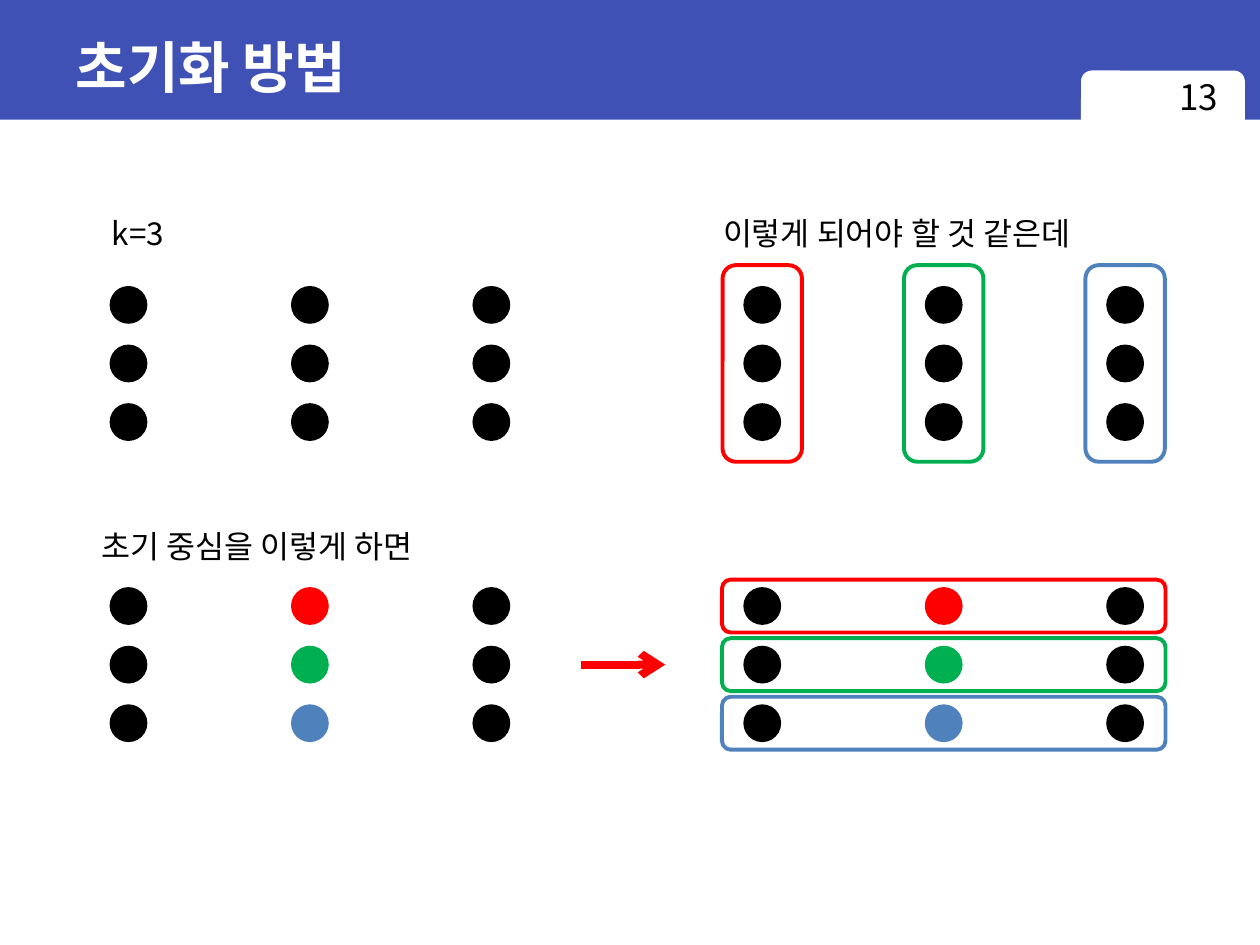
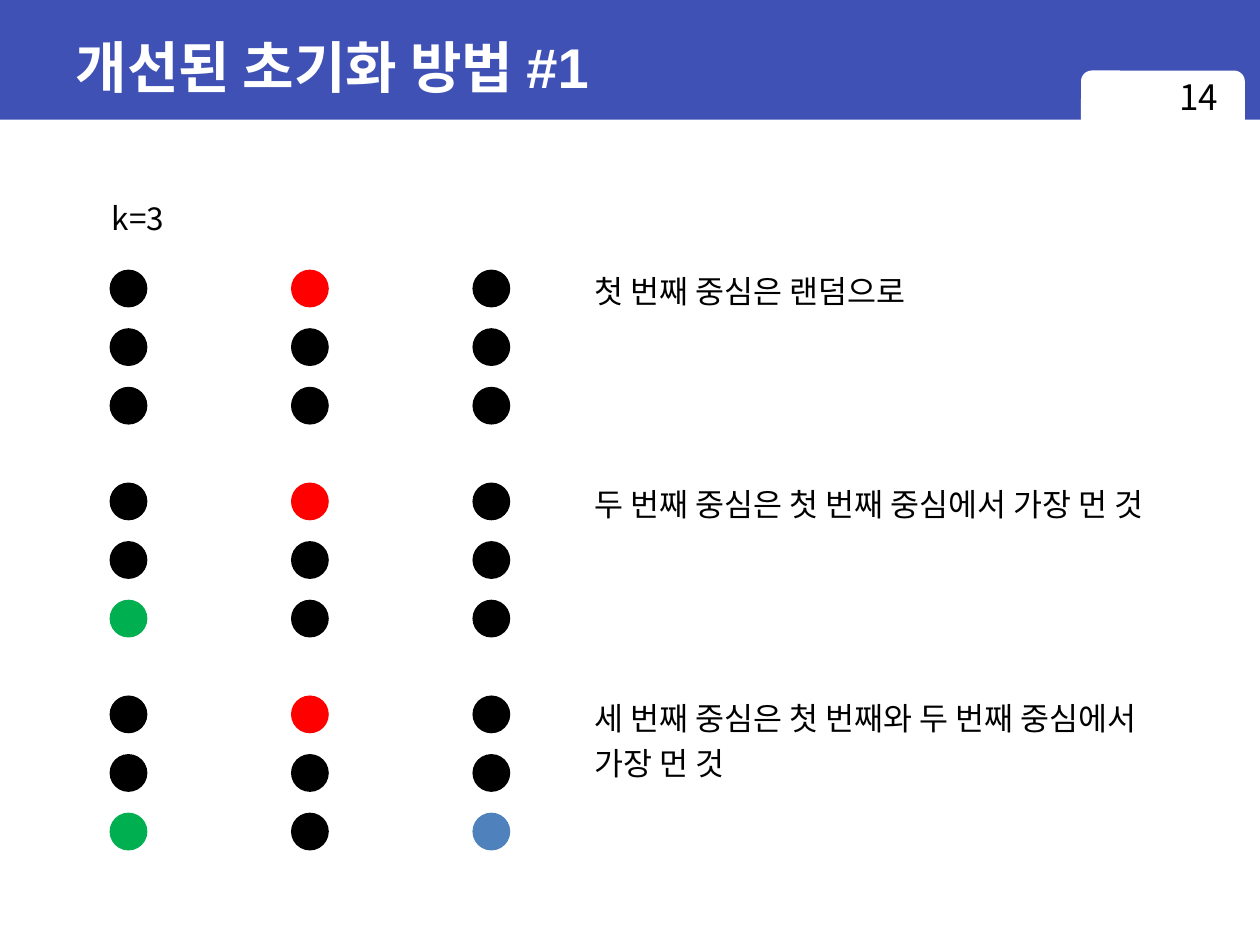
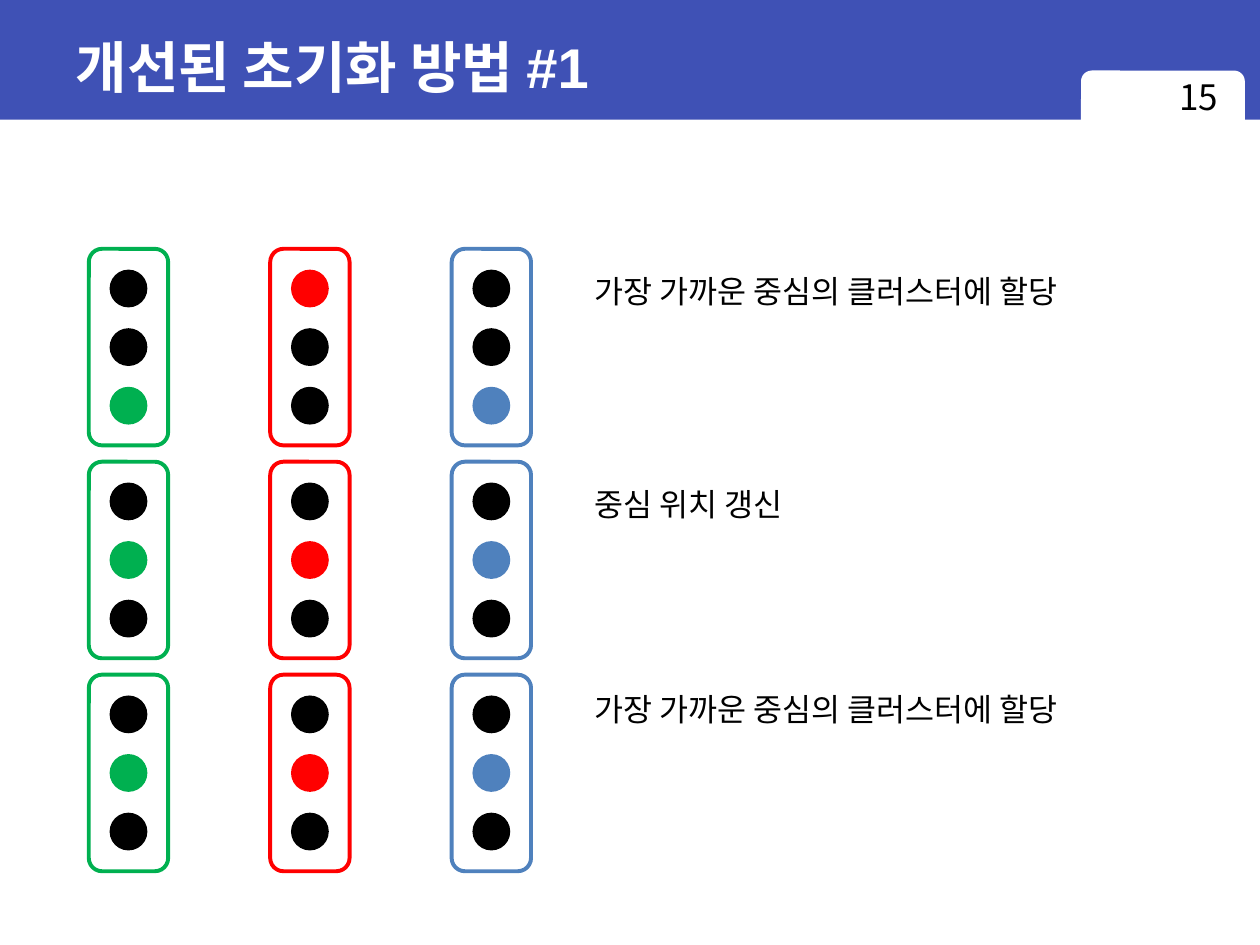
from pptx import Presentation
from pptx.dml.color import RGBColor
from pptx.enum.shapes import MSO_CONNECTOR, MSO_SHAPE
from pptx.enum.text import MSO_ANCHOR, MSO_AUTO_SIZE, PP_ALIGN
from pptx.oxml.ns import qn
from pptx.util import Inches, Pt
from lxml import etree

RECT, ROUND, OVAL = MSO_SHAPE.RECTANGLE, MSO_SHAPE.ROUNDED_RECTANGLE, MSO_SHAPE.OVAL
STRAIGHT = MSO_CONNECTOR.STRAIGHT
LEFT_ALIGN, CENTER = PP_ALIGN.LEFT, PP_ALIGN.CENTER
MIDDLE, GROW = MSO_ANCHOR.MIDDLE, MSO_AUTO_SIZE.SHAPE_TO_FIT_TEXT

INDIGO = RGBColor(0x3F, 0x51, 0xB5)
WHITE = RGBColor(0xFF, 0xFF, 0xFF)
BLACK = RGBColor(0x00, 0x00, 0x00)
RED = RGBColor(0xFF, 0x00, 0x00)
GREEN = RGBColor(0x00, 0xB0, 0x50)
BLUE = RGBColor(0x4F, 0x81, 0xBD)
DOT_COLORS = {"K": BLACK, "R": RED, "G": GREEN, "B": BLUE}

LATIN, HANGUL = "Arial", "Noto Sans CJK KR"
SLIDE_W, SLIDE_H = 10, 7.5
DOT = 0.3
GRID_W, GRID_H = 3.18, 1.23
COL_PITCH, ROW_PITCH = (GRID_W - DOT) / 2, (GRID_H - DOT) / 2
COL_FRAME, ROW_FRAME = (0.63, 1.56), (3.52, 0.42)
LEFT_GRID, RIGHT_GRID = 0.87, 5.9
STEP_TOP, STEP_PITCH = 2.14, 1.69
NOTE_LEFT = 4.62


def put_text(tf, text, size=18, font=HANGUL, color=BLACK, bold=False,
             align=LEFT_ALIGN, spacing=None):
    """Write one formatted paragraph into a text frame."""
    p = tf.paragraphs[0]
    p.text = text
    p.alignment = align
    p.line_spacing = spacing
    for r in p.runs:
        r.font.size = Pt(size)
        r.font.name = font
        r.font.bold = bold
        r.font.color.rgb = color
        r.font.language_id = None
        ea = etree.SubElement(r.font._element, qn("a:ea"))
        ea.set("typeface", HANGUL)


def add_shape(shapes, kind, x, y, w, h, fill=None, line=None):
    """Add a flat preset shape."""
    sp = shapes.add_shape(kind, Inches(x), Inches(y), Inches(w), Inches(h))
    sp.shadow.inherit = False
    if fill is None:
        sp.fill.background()
    else:
        sp.fill.solid()
        sp.fill.fore_color.rgb = fill
    if line is None:
        sp.line.fill.background()
    else:
        sp.line.color.rgb = line
        sp.line.width = Pt(2.25)
    return sp


def add_label(s, text, x, y, w):
    """Add an unwrapped caption that grows with its lines."""
    h = 0.46 + 0.37 * text.count("\n")
    tf = s.shapes.add_textbox(Inches(x), Inches(y), Inches(w), Inches(h)).text_frame
    tf.word_wrap = False
    tf.auto_size = GROW
    put_text(tf, text, spacing=1.2)


def style_layout(layout, s):
    """Give the layout its band, number tab and title place."""
    band = add_shape(s.shapes, RECT, 0, 0, SLIDE_W, 0.95, INDIGO)
    tab = add_shape(s.shapes, ROUND, 8.58, 0.56, 1.3, 0.51, WHITE)
    for i, sp in enumerate((band, tab)):
        layout.shapes.element.insert(2 + i, sp.element)
    title = layout.placeholders[0]
    title.left, title.top = Inches(0.5), Inches(0.11)
    title.width, title.height = Inches(9), Inches(0.83)


def add_header(s, title, number):
    """Fill in the title and the page number."""
    tf = s.shapes.title.text_frame
    tf.vertical_anchor = MIDDLE
    put_text(tf, title, size=32, font=LATIN, color=WHITE, bold=True)
    box = s.shapes.add_textbox(Inches(8.86), Inches(0.55), Inches(1.31), Inches(0.52))
    box.text_frame.word_wrap = True
    put_text(box.text_frame, str(number), size=20, align=CENTER)


def add_dots(s, x, y, pattern="KKK KKK KKK"):
    """Add a group of three rows of dots, one colour letter per dot."""
    group = s.shapes.add_group_shape()
    for row, letters in enumerate(pattern.split()):
        for col, letter in enumerate(letters):
            add_shape(group.shapes, OVAL, x + col * COL_PITCH, y + row * ROW_PITCH,
                      DOT, DOT, DOT_COLORS[letter])


def add_column_frames(s, x, y, colors):
    """Frame each column of a dot grid."""
    w, h = COL_FRAME
    for i, color in enumerate(colors):
        add_shape(s.shapes, ROUND, x + i * COL_PITCH - (w - DOT) / 2,
                  y - (h - GRID_H) / 2, w, h, line=color)


def add_row_frames(s, x, y, colors):
    """Frame each row of a dot grid."""
    w, h = ROW_FRAME
    for i, color in enumerate(colors):
        add_shape(s.shapes, ROUND, x - (w - GRID_W) / 2,
                  y + i * ROW_PITCH - (h - DOT) / 2, w, h, line=color)


def add_arrow(s, x1, x2, y):
    """Add a thick red horizontal arrow."""
    line = s.shapes.add_connector(STRAIGHT, Inches(x1), Inches(y), Inches(x2), Inches(y))
    line.line.color.rgb = RED
    line.line.width = Pt(4.5)
    sp_pr = line.element.spPr
    etree.SubElement(sp_pr.find(qn("a:ln")), qn("a:tailEnd")).set("type", "arrow")
    etree.SubElement(sp_pr, qn("a:effectLst"))


def fill_problem(s):
    """Compare the expected clusters with those from poor centres."""
    top, bottom = 2.27, 4.66
    colors = (RED, GREEN, BLUE)
    centres = "KRK KGK KBK"
    add_label(s, "k=3", 0.79, 1.59, 0.65)
    add_label(s, "이렇게 되어야 할 것 같은데", 5.64, 1.59, 3.34)
    add_label(s, "초기 중심을 이렇게 하면", 0.71, 4.07, 2.99)
    for x in (LEFT_GRID, RIGHT_GRID):
        add_dots(s, x, top)
        add_dots(s, x, bottom, centres)
    add_column_frames(s, RIGHT_GRID, top, colors)
    add_row_frames(s, RIGHT_GRID, bottom, colors)
    add_arrow(s, 4.61, 5.28, bottom + GRID_H / 2)


def fill_steps(s, steps, frames=()):
    """Stack dot grids, each with its note on the right."""
    for i, (pattern, note, width, rise) in enumerate(steps):
        y = STEP_TOP + i * STEP_PITCH
        add_dots(s, LEFT_GRID, y, pattern)
        add_column_frames(s, LEFT_GRID, y, frames)
        add_label(s, note, NOTE_LEFT, y - rise, width)


def main():
    """Build the three slides."""
    prs = Presentation()
    prs.slide_width, prs.slide_height = Inches(SLIDE_W), Inches(SLIDE_H)
    layout = prs.slide_layouts[5]
    titles = ("초기화 방법", "개선된 초기화 방법 #1", "개선된 초기화 방법 #1")
    slides = [prs.slides.add_slide(layout) for _ in titles]
    style_layout(layout, slides[0])
    for number, (s, title) in enumerate(zip(slides, titles), 13):
        add_header(s, title, number)

    problem, choice, update = slides
    fill_problem(problem)
    add_label(choice, "k=3", 0.79, 1.47, 0.65)
    fill_steps(choice, (
        ("KRK KKK KKK", "첫 번째 중심은 랜덤으로", 2.99, 0.09),
        ("KRK KKK GKK", "두 번째 중심은 첫 번째 중심에서 가장 먼 것", 5.21, 0.09),
        ("KRK KKK GKB", "세 번째 중심은 첫 번째와 두 번째 중심에서\n가장 먼 것", 5.12, 0.08),
    ))
    assign = "가장 가까운 중심의 클러스터에 할당"
    fill_steps(update, (
        ("KRK KKK GKB", assign, 4.35, 0.09),
        ("KKK GRB KKK", "중심 위치 갱신", 1.9, 0.09),
        ("KKK GRB KKK", assign, 4.35, 0.15),
    ), (GREEN, RED, BLUE))
    prs.save("out.pptx")


if __name__ == "__main__":
    main()
